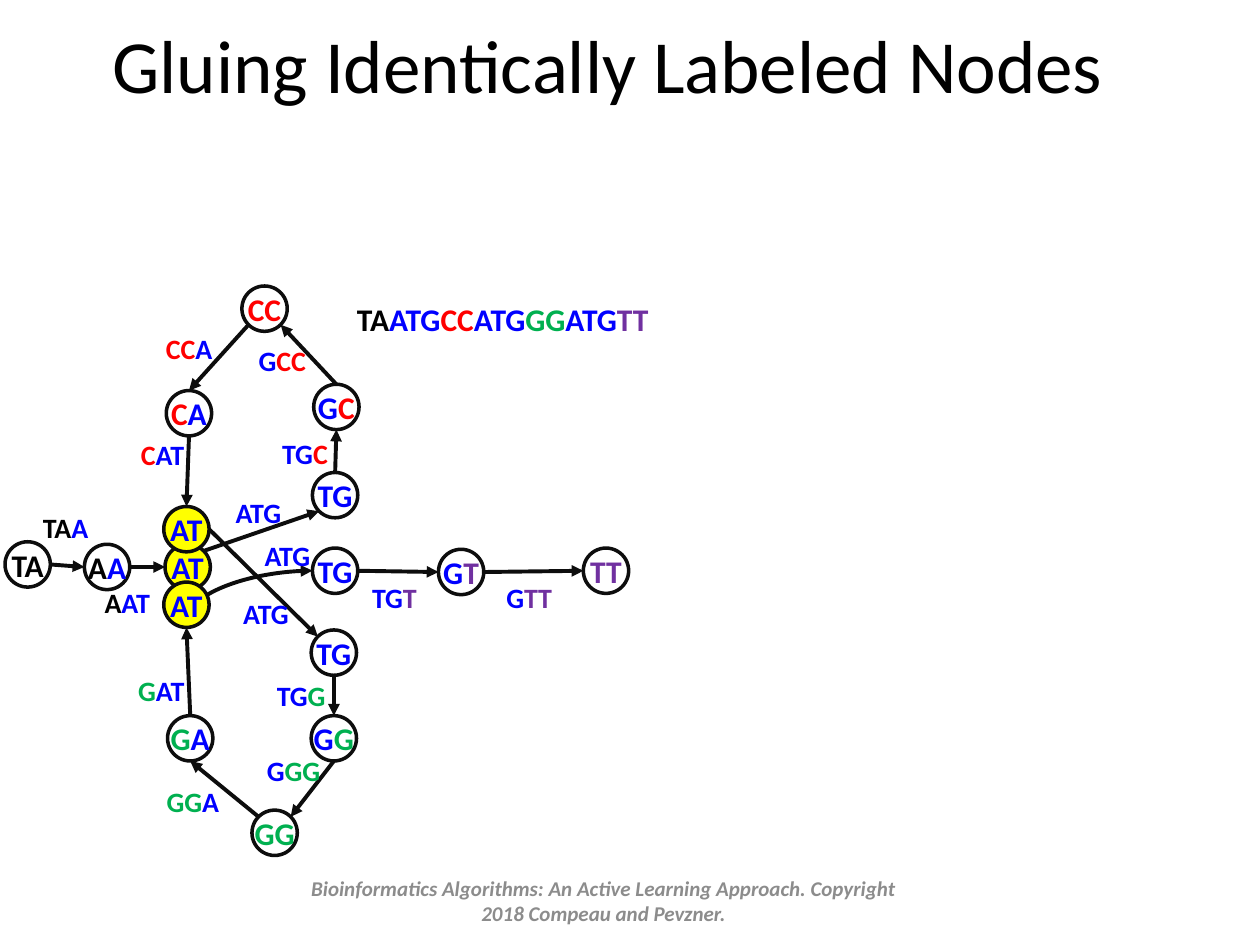
from dataclasses import dataclass
from itertools import groupby
from math import cos, pi, sin

from lxml.etree import SubElement
from pptx import Presentation
from pptx.dml.color import RGBColor
from pptx.enum.shapes import MSO_CONNECTOR as Connector, MSO_SHAPE as Shape
from pptx.enum.text import MSO_ANCHOR as Anchor, MSO_AUTO_SIZE as AutoSize, PP_ALIGN as Align
from pptx.oxml.ns import qn
from pptx.util import Inches, Pt


@dataclass(frozen=True)
class Theme:
    """Colours, type sizes and line widths of the slide."""
    font: str = "Calibri"
    title: float = 42.9
    node: float = 18
    edge: float = 16
    footer: float = 12
    black: str = "000000"
    red: str = "FF0000"
    green: str = "00B050"
    blue: str = "0000FF"
    purple: str = "7030A0"
    grey: str = "8C8C8C"
    yellow: str = "FFFF00"
    line: str = "0D0D0D"
    outline: float = 2
    arrow: float = 2.25


THEME = Theme()
INKS = {"k": THEME.black, "r": THEME.red, "g": THEME.green,
        "b": THEME.blue, "p": THEME.purple, "e": THEME.grey}
COLUMNS, ROWS = 100, 75
SLIDE_WIDTH, SLIDE_HEIGHT = Inches(10), Inches(7.5)
DIAMETER = 3.6
SITES = ("N", "NW", "W", "SW", "S", "SE", "E", "NE")

# name: (label, letter inks, centre column, centre row, fill)
NODES = {
    "TA": ("TA", "kk", 2.2, 44.8, None),
    "AA": ("AA", "kb", 8.5, 45, None),
    "AT middle": ("AT", "bb", 14.9, 45, THEME.yellow),
    "AT lower": ("AT", "bb", 14.8, 48, THEME.yellow),
    "AT upper": ("AT", "bb", 14.8, 42, THEME.yellow),
    "TG upper": ("TG", "bb", 26.6, 39.3, None),
    "TG middle": ("TG", "bb", 26.6, 45.3, None),
    "TG lower": ("TG", "bb", 26.5, 51.8, None),
    "GC": ("GC", "br", 26.7, 32.3, None),
    "CC": ("CC", "rr", 21, 24.5, None),
    "CA": ("CA", "rb", 15, 32.8, None),
    "GG right": ("GG", "bg", 26.5, 58.6, None),
    "GG bottom": ("GG", "gg", 21.8, 66.1, None),
    "GA": ("GA", "gb", 15.1, 58.6, None),
    "GT": ("GT", "bp", 36.6, 45.4, None),
    "TT": ("TT", "pp", 48.1, 45.3, None),
}
EDGES = (
    ("TA", "E", "AA", "W"), ("AA", "E", "AT middle", "W"),
    ("AT middle", "NE", "TG upper", "SW"), ("TG upper", "N", "GC", "S"),
    ("GC", "N", "CC", "SE"), ("CC", "SW", "CA", "N"), ("CA", "S", "AT upper", "N"),
    ("AT upper", "E", "TG lower", "NW"), ("TG lower", "S", "GG right", "N"),
    ("GG right", "S", "GG bottom", "NE"), ("GG bottom", "NW", "GA", "S"),
    ("GA", "N", "AT lower", "S"), ("TG middle", "E", "GT", "W"), ("GT", "E", "TT", "W"),
)
# label, letter inks, centre column, centre row
EDGE_LABELS = (
    ("TAA", "kkb", 5.2, 41.9), ("AAT", "kbb", 10.1, 47.8),
    ("ATG", "bbb", 20.5, 40.7), ("ATG", "bbb", 22.8, 44.1), ("ATG", "bbb", 21.1, 48.7),
    ("TGC", "bbr", 24.2, 36), ("GCC", "brr", 22.4, 28.6),
    ("CCA", "rrb", 15, 27.7), ("CAT", "rbb", 12.9, 36.1),
    ("TGG", "bbg", 23.9, 55.2), ("GGG", "bgg", 23.3, 61.2),
    ("GGA", "ggb", 15.3, 63.6), ("GAT", "gbb", 12.8, 54.8),
    ("TGT", "bbp", 31.3, 47.4), ("GTT", "bpp", 42, 47.4),
)


def column(count):
    """Return the length of a number of grid columns."""
    return round(SLIDE_WIDTH * count / COLUMNS)


def row(count):
    """Return the length of a number of grid rows."""
    return round(SLIDE_HEIGHT * count / ROWS)


def place(centre_x, centre_y, width, height):
    """Return left, top, width and height of a box around a grid point."""
    return (column(centre_x - width / 2), row(centre_y - height / 2),
            column(width), row(height))


def write(shape, text, inks="k", size=THEME.node, bold=True, italic=False,
          wrap=False, anchor=Anchor.TOP, margins=True):
    """Write centred text whose letters take their colours from inks."""
    frame = shape.text_frame
    frame.word_wrap = wrap
    frame.auto_size = AutoSize.NONE
    frame.vertical_anchor = anchor
    if not margins:
        frame.margin_left = frame.margin_right = 0
        frame.margin_top = frame.margin_bottom = 0
    paragraph = frame.paragraphs[0]
    paragraph.alignment = Align.CENTER
    letter_inks = inks if len(inks) == len(text) else inks * len(text)
    for ink, letters in groupby(zip(letter_inks, text), key=lambda pair: pair[0]):
        run = paragraph.add_run()
        run.text = "".join(letter for _, letter in letters)
        font = run.font
        font.name, font.size, font.bold, font.italic = THEME.font, Pt(size), bold, italic
        font.color.rgb = RGBColor.from_string(INKS[ink])


def add_label(slide, text, centre_x, centre_y, width, height, **style):
    """Add a text box centred on a grid point."""
    write(slide.shapes.add_textbox(*place(centre_x, centre_y, width, height)), text, **style)


def add_node(slide, label, inks, centre_x, centre_y, fill):
    """Add a labelled circle and return it."""
    shape = slide.shapes.add_shape(
        Shape.OVAL, *place(centre_x, centre_y, DIAMETER, DIAMETER))
    shape.shadow.inherit = False
    if fill:
        shape.fill.solid()
        shape.fill.fore_color.rgb = RGBColor.from_string(fill)
    else:
        shape.fill.background()
    shape.line.color.rgb = RGBColor.from_string(THEME.line)
    shape.line.width = Pt(THEME.outline)
    write(shape, label, inks=inks, anchor=Anchor.MIDDLE, margins=False)
    return shape


def add_arrow(slide, kind, start, end):
    """Add a connector with an arrowhead between two grid points."""
    connector = slide.shapes.add_connector(
        kind, column(start[0]), row(start[1]), column(end[0]), row(end[1]))
    connector.line.color.rgb = RGBColor.from_string(THEME.line)
    connector.line.width = Pt(THEME.arrow)
    SubElement(connector.line._get_or_add_ln(), qn("a:tailEnd"), type="triangle")
    SubElement(connector._element.spPr, qn("a:effectLst"))
    return connector


def rim(name, site):
    """Return the grid point of a compass site on a node's rim."""
    _, _, centre_x, centre_y, _ = NODES[name]
    angle = pi / 2 + SITES.index(site) * pi / 4
    return (centre_x + DIAMETER / 2 * cos(angle), centre_y - DIAMETER / 2 * sin(angle))


def glue(connector, tag, shape, site):
    """Attach one end of a connector to a site of a circle."""
    SubElement(connector._element.nvCxnSpPr.cNvCxnSpPr, qn(tag),
               id=str(shape.shape_id), idx=str(SITES.index(site)))


def add_edge(slide, circles, source, source_site, target, target_site):
    """Add a straight arrow joined to two nodes."""
    connector = add_arrow(slide, Connector.STRAIGHT,
                          rim(source, source_site), rim(target, target_site))
    glue(connector, "a:stCxn", circles[source], source_site)
    glue(connector, "a:endCxn", circles[target], target_site)


def add_curve(slide, start, end):
    """Add an arrow that leaves upwards and arrives from the left."""
    middle_x, middle_y = (start[0] + end[0]) / 2, (start[1] + end[1]) / 2
    half_width, half_height = (start[1] - end[1]) / 2, (end[0] - start[0]) / 2
    connector = add_arrow(slide, Connector.CURVE,
                          (middle_x + half_width, middle_y + half_height),
                          (middle_x - half_width, middle_y - half_height))
    properties = connector._element.spPr
    properties.find(qn("a:xfrm")).set("rot", str(90 * 60000))
    properties.find(qn("a:prstGeom")).set("prst", "curvedConnector2")
    return connector


def main():
    """Build the slide and save it."""
    presentation = Presentation()
    presentation.slide_width, presentation.slide_height = SLIDE_WIDTH, SLIDE_HEIGHT
    slide = presentation.slides.add_slide(presentation.slide_layouts[5])

    title = slide.shapes.title
    title.left, title.top, title.width, title.height = place(48.2, 5, 86, 8.3)
    write(title, "Gluing Identically Labeled Nodes", size=THEME.title, bold=False,
          wrap=True, anchor=Anchor.MIDDLE)

    curve = add_curve(slide, (14.8, 49.3), rim("TG middle", "W"))
    circles = {name: add_node(slide, *node) for name, node in NODES.items()}
    glue(curve, "a:endCxn", circles["TG middle"], "W")
    for edge in EDGES:
        add_edge(slide, circles, *edge)
    for text, inks, centre_x, centre_y in EDGE_LABELS:
        add_label(slide, text, centre_x, centre_y, 5.9, 3.7, inks=inks, size=THEME.edge)

    add_label(slide, "TAATGCCATGGGATGTT", 39.9, 25.3, 26.3, 4, inks="kkbbbrrbbbggbbbpp")
    add_label(slide, "Bioinformatics Algorithms: An Active Learning Approach. "
              "Copyright 2018 Compeau and Pevzner.", 47.9, 71.5, 50.8, 4, inks="e",
              size=THEME.footer, italic=True, wrap=True, anchor=Anchor.MIDDLE)
    presentation.save("out.pptx")


if __name__ == "__main__":
    main()
